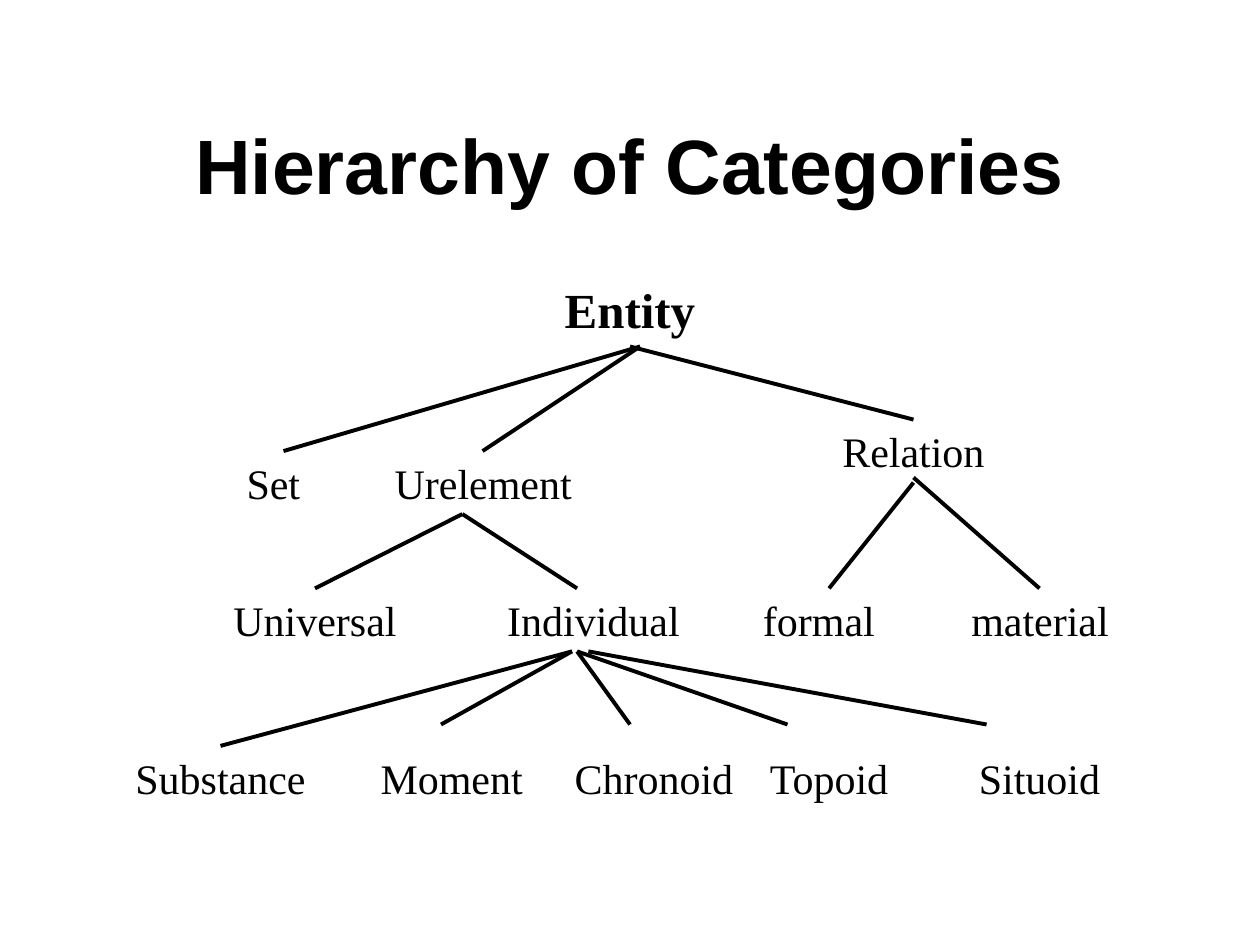
from lxml import etree
from pptx import Presentation
from pptx import util as u
from pptx.dml.color import RGBColor
from pptx.enum import shapes, text
from pptx.oxml.ns import qn

BLACK = RGBColor(0, 0, 0)
WHITE = RGBColor(255, 255, 255)

# Top of each row of categories, with (name, left, width)
ROWS = [
    (3.33, [("Relation", 6.25, 2)]),
    (3.58, [("Set", 1.42, 1.5), ("Urelement", 2.92, 1.83)]),
    (4.67, [("Universal", 1.75, 1.5), ("Individual", 3.67, 2.08),
            ("formal", 5.75, 1.5), ("material", 7.17, 2.17)]),
    (5.92, [("Substance", 0.71, 2.08), ("Moment", 2.92, 1.33),
            ("Chronoid", 4.25, 1.88), ("Topoid", 5.83, 1.5),
            ("Situoid", 7.5, 1.5)]),
]

# Start of each branch and the ends it leads to
BRANCHES = [
    ((5.08, 2.75), [(2.25, 3.58), (3.83, 3.58)]),
    ((5, 2.75), [(7.25, 3.33)]),
    ((3.67, 4.08), [(2.5, 4.67), (4.58, 4.67)]),
    ((7.25, 3.83), [(6.58, 4.67)]),
    ((7.25, 3.79), [(8.25, 4.67)]),
    ((4.54, 5.17), [(1.75, 5.92), (3.5, 5.75)]),
    ((4.58, 5.17), [(5, 5.75), (6.25, 5.75)]),
    ((4.67, 5.17), [(7.83, 5.75)]),
]


class TreeSlide:
    label_font = "Times New Roman"
    label_size = 24
    line_width = 2.25

    def __init__(self, page):
        self.page = page
        fill = page.background.fill
        fill.solid()
        fill.fore_color.rgb = WHITE

    def label(self, words, left, top, width, height=0.5, size=label_size,
              font=label_font, bold=False, anchor=text.MSO_ANCHOR.TOP):
        box = self.page.shapes.add_textbox(
            *(u.Inches(n) for n in (left, top, width, height)))
        frame = box.text_frame
        frame.word_wrap = True
        frame.vertical_anchor = anchor
        para = frame.paragraphs[0]
        para.alignment = text.PP_ALIGN.CENTER
        span = para.add_run()
        span.text = words
        span.font.name = font
        span.font.size = u.Pt(size)
        span.font.bold = bold
        span.font.color.rgb = BLACK

    def branch(self, start, end):
        line = self.page.shapes.add_connector(
            shapes.MSO_CONNECTOR.STRAIGHT,
            *(u.Inches(n) for n in (*start, *end)))
        line.line.color.rgb = BLACK
        line.line.width = u.Pt(self.line_width)
        etree.SubElement(line._element.spPr, qn("a:effectLst"))


def main():
    deck = Presentation()
    deck.slide_width = u.Inches(10)
    deck.slide_height = u.Inches(7.5)
    tree = TreeSlide(deck.slides.add_slide(deck.slide_layouts[6]))

    tree.label("Hierarchy of Categories", 0, 0.67, 10, 1.25, size=44,
               font="Arial", bold=True, anchor=text.MSO_ANCHOR.MIDDLE)
    tree.label("Entity", 0, 2.17, 10, 0.57, size=28, bold=True)
    for top, categories in ROWS:
        for name, left, width in categories:
            tree.label(name, left, top, width)
    for start, ends in BRANCHES:
        for end in ends:
            tree.branch(start, end)

    deck.save("out.pptx")


if __name__ == "__main__":
    main()
